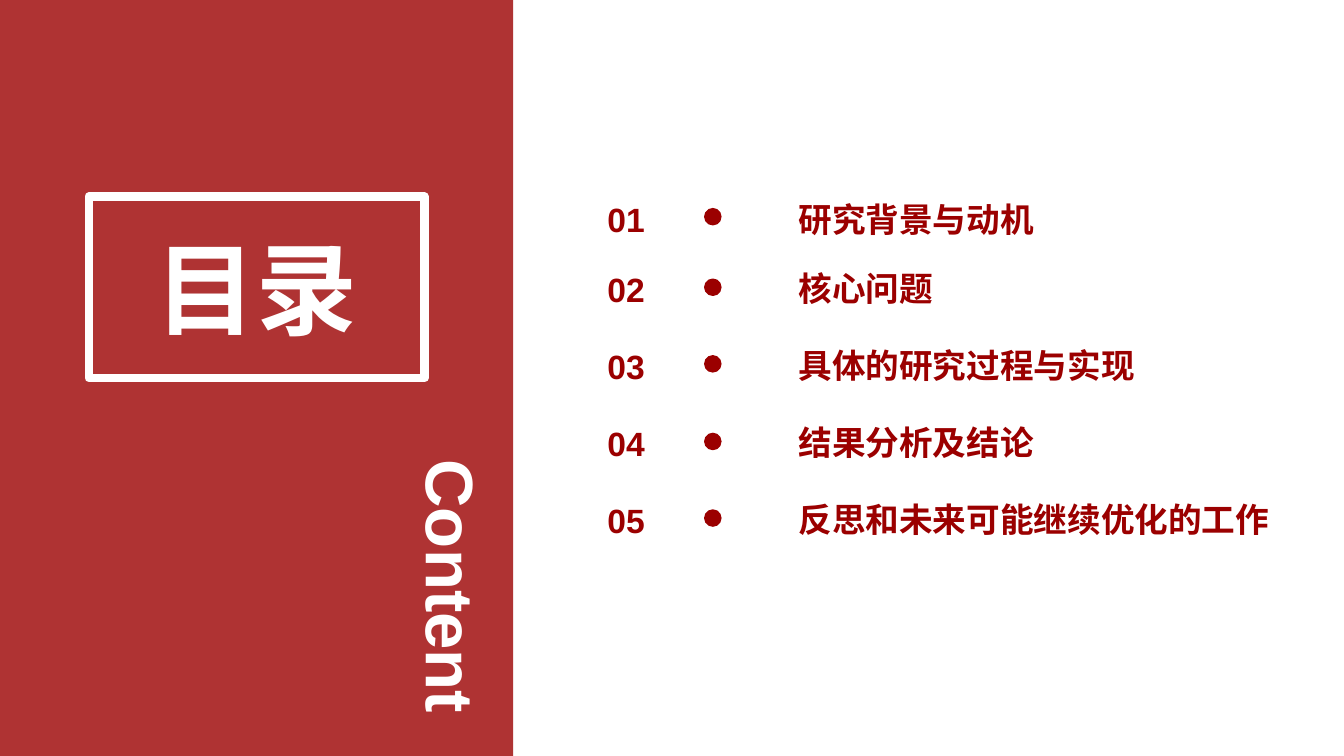
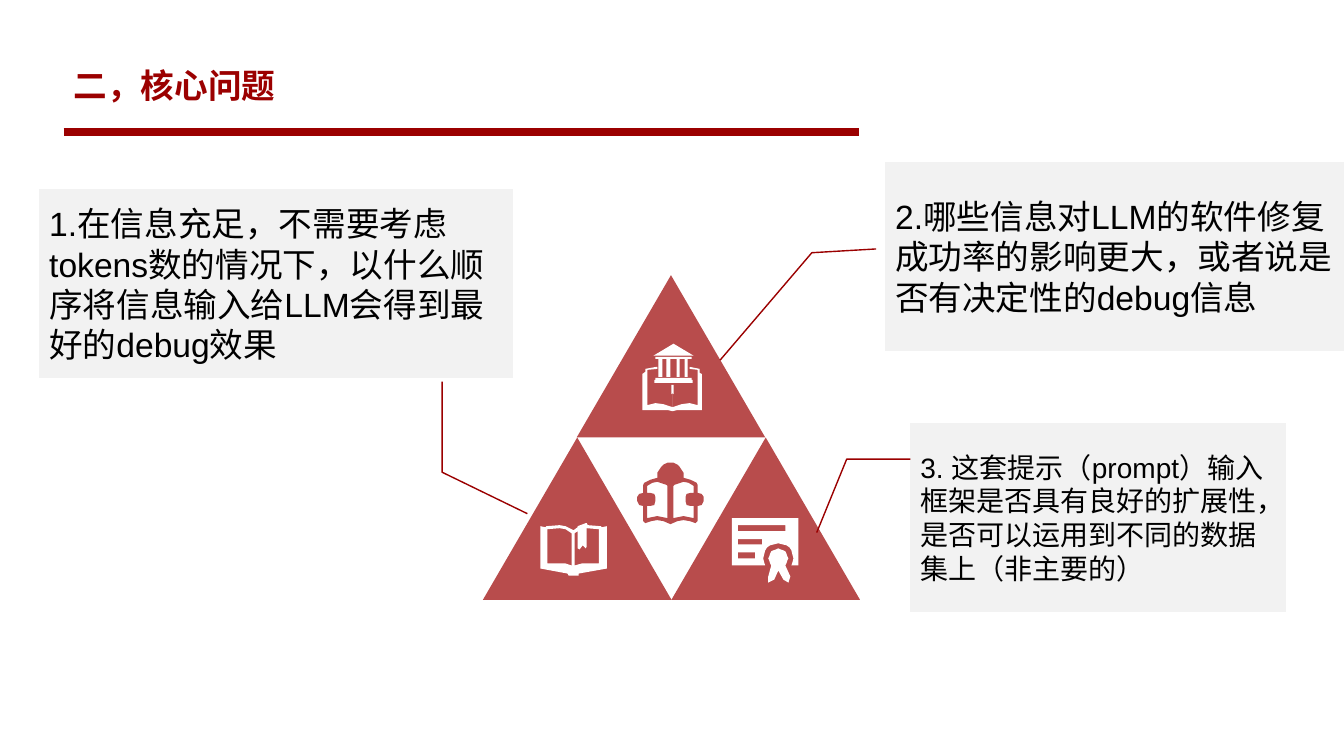
from dataclasses import dataclass
from itertools import pairwise
from math import cos, radians, sin

from lxml import etree
from pptx import Presentation
from pptx.dml.color import RGBColor
from pptx.enum.lang import MSO_LANGUAGE_ID
from pptx.enum.shapes import MSO_CONNECTOR, MSO_SHAPE
from pptx.enum.text import MSO_ANCHOR, MSO_AUTO_SIZE, PP_ALIGN
from pptx.oxml.ns import qn
from pptx.util import Pt

PX = 9144  # EMU per px, 100 px to the inch
RED, WHITE, BLACK, GREY = "9B0000", "FFFFFF", "000000", "F2F2F2"
FONT = "Arial"
LINE_PT = 29  # height of one 24 pt line
LEFT, MID = PP_ALIGN.LEFT, PP_ALIGN.CENTER
TOP, CENTRE = MSO_ANCHOR.TOP, MSO_ANCHOR.MIDDLE
FIXED = MSO_AUTO_SIZE.NONE
CHINESE = MSO_LANGUAGE_ID.SIMPLIFIED_CHINESE
RECT, OVAL = MSO_SHAPE.RECTANGLE, MSO_SHAPE.OVAL
TRI, CALL = MSO_SHAPE.ISOSCELES_TRIANGLE, MSO_SHAPE.LINE_CALLOUT_2_NO_BORDER
STRAIGHT = MSO_CONNECTOR.STRAIGHT
TITLE_BODY, TITLE_ONLY = 1, 5

Points = list[tuple[float, float]]


@dataclass
class Row:
    top: int
    text: str


@dataclass
class Note:
    box: tuple[int, int, int, int]
    adj: tuple[float, ...]
    size: int
    text: str


@dataclass
class Icon:
    paths: list[Points]
    fill: str
    alpha: int = 100


ROWS = [
    Row(192, "研究背景与动机"),
    Row(262, "核心问题"),
    Row(338, "具体的研究过程与实现"),
    Row(415, "结果分析及结论"),
    Row(491, "反思和未来可能继续优化的工作"),
]
NOTES = [
    Note((878, 161, 455, 187), (0.46, -0.02, 0.48, -0.16, 1.05, -0.36), 24,
         "2.哪些信息对LLM的软件修复成功率的影响更大，或者说是否有决定性的debug信息"),
    Note((903, 420, 372, 187), (0.19, 0, 0.19, -0.17, 0.58, -0.25), 20,
         "3. 这套提示（prompt）输入框架是否具有良好的扩展性，"
         "是否可以运用到不同的数据集上（非主要的）"),
    Note((39, 188, 470, 187), (1.02, 0.85, 1.5, 0.85, 1.72, 1.03), 24,
         "1.在信息充足，不需要考虑tokens数的情况下，"
         "以什么顺序将信息输入给LLM会得到最好的debug效果"),
]


def box(x: int, y: int, w: int, h: int) -> Points:
    return [(x, y), (x + w, y), (x + w, y + h), (x, y + h)]


def arc(x: float, y: float, r: float, start: int, end: int) -> Points:
    """Points on a circle, angles in degrees counted clockwise from the right."""
    step = 15 if end > start else -15
    return [(x + r * cos(radians(a)), y + r * sin(radians(a)))
            for a in range(start, end + step, step)]


def flip(points: Points, axis: int) -> Points:
    """Mirror points about a vertical axis."""
    return [(2 * axis - x, y) for x, y in reversed(points)]


def temple() -> list[Points]:
    book = [(651, 364), (652, 364), (652, 366), (642, 367), (642, 402), (650, 400),
            (658, 401), (667, 404), (667, 390), (666, 391), (666, 382), (668, 382),
            (668, 391), (667, 390), (667, 404), (676, 401), (684, 400), (692, 402),
            (692, 367), (684, 366), (684, 364), (694, 366), (694, 370), (696, 371),
            (696, 407), (671, 407), (667, 408), (663, 407), (637, 407), (637, 371),
            (640, 369), (640, 366)]
    base = [(650, 375), (686, 375), (686, 377), (687, 377), (687, 380), (649, 380),
            (649, 377), (650, 377)]
    posts = [box(x, 356, w, 18) for x, w in ((653, 4), (661, 4), (671, 3), (679, 3))]
    return [book, base, box(650, 354, 36, 2), *posts, [(668, 341), (688, 353), (648, 353)]]


def award() -> list[Points]:
    sheet = [(726, 514), (792, 514), (792, 561), (785, 561), *arc(772, 554, 15, 15, -195),
             (759, 561), (726, 561)]
    seal = [*arc(772, 554, 9.5, 45, -225), (762, 572), (762, 578), (768, 575), (772, 566),
            (777, 575), (782, 578), (784, 572), (779, 561)]
    return [sheet, seal, box(732, 548, 17, 6), box(732, 535, 24, 5), box(732, 521, 47, 6)]


def book() -> list[Points]:
    cover = [(602, 522), (597, 523), (596, 522), (583, 521), (582, 519), (581, 519),
             (573, 522), (573, 523), (569, 526), (561, 522), (555, 521), (542, 522),
             (541, 523), (536, 522), (536, 564), (563, 569), (564, 571), (574, 571),
             (574, 569), (602, 564)]
    right = [(573, 527), (573, 544), (575, 545), (578, 541), (581, 544), (582, 542),
             (582, 524), (594, 525), (594, 559), (577, 559), (570, 561), (570, 529)]
    left = [(561, 525), (567, 529), (567, 561), (561, 559), (543, 559), (543, 525), (555, 524)]
    return [cover, right, left]


def reader() -> list[Points]:
    half = [(652, 474), (645, 476), (639, 479), (638, 481), (638, 489), (634, 490),
            (632, 493), (632, 497), (634, 501), (638, 502), (638, 517), (640, 519),
            (646, 517), (652, 516), (658, 517), (665, 520)]
    page = [(652, 512), (642, 514), (642, 502), (645, 502), (649, 501), (650, 497),
            (650, 493), (649, 490), (645, 489), (642, 489), (642, 482), (647, 479),
            (652, 478), (661, 481), (662, 482), (662, 514)]
    return [[*arc(665, 472, 13, 0, -180), *half, *flip(half, 665)], page, flip(page, 665)]


ICONS = [Icon(temple(), WHITE), Icon(award(), WHITE), Icon(book(), WHITE),
         Icon(reader(), RED, 70)]


def rgb(code: str) -> RGBColor:
    return RGBColor.from_string(code)


def place(shape, *frame: int) -> None:
    for name, px in zip(("left", "top", "width", "height"), frame):
        setattr(shape, name, px * PX)


def paint(shape, fill: str, alpha: int = 100, line: str = "") -> None:
    """Set fill, opacity in percent, and a 1 pt line if a colour is given."""
    shape.shadow.inherit = False
    shape.fill.solid()
    shape.fill.fore_color.rgb = rgb(fill)
    if alpha < 100:
        tint = shape.element.spPr.find(".//" + qn("a:srgbClr"))
        etree.SubElement(tint, qn("a:alpha"), val=str(alpha * 1000))
    if line:
        shape.line.color.rgb = rgb(line)
        shape.line.width = Pt(1)
    else:
        shape.line.fill.background()


def form(slide, kind, frame: tuple, fill: str, alpha: int = 100, line: str = ""):
    shape = slide.shapes.add_shape(kind, *(px * PX for px in frame))
    paint(shape, fill, alpha, line)
    return shape


def write(shape, lines: list[str], size: int = 24, ink: str = RED, bold: bool = True,
          align=LEFT, anchor=TOP) -> None:
    frame = shape.text_frame
    for name, value in {"word_wrap": True, "auto_size": FIXED,
                        "vertical_anchor": anchor}.items():
        setattr(frame, name, value)
    look = {"name": FONT, "size": Pt(size), "bold": bold, "language_id": CHINESE}
    for i, text in enumerate(lines):
        para = frame.add_paragraph() if i else frame.paragraphs[0]
        para.alignment = align
        run = para.add_run()
        run.text = text
        for name, value in look.items():
            setattr(run.font, name, value)
        run.font.color.rgb = rgb(ink)


def label(slide, frame: tuple, text: str, **style):
    shape = slide.shapes.add_textbox(*(px * PX for px in frame))
    write(shape, [text], **style)
    return shape


def head(slide, frame: tuple, text: str, **style):
    place(slide.shapes.title, *frame)
    write(slide.shapes.title, [text], **style)
    return slide.shapes.title


def items(slide) -> None:
    """Fill the body placeholder, spaced so that each line meets its row."""
    body = slide.placeholders[1]
    place(body, 782, ROWS[0].top, 514, 390)
    write(body, [row.text for row in ROWS])
    gaps = [0] + [round((b.top - a.top) * 0.72) - LINE_PT for a, b in pairwise(ROWS)]
    for para, gap in zip(body.text_frame.paragraphs, gaps):
        props = para._p.get_or_add_pPr()
        props.set("marL", "0")
        props.set("indent", "0")
        etree.SubElement(props, qn("a:buNone"))
        para.space_before = Pt(gap)


def contents(deck) -> None:
    slide = deck.slides.add_slide(deck.slide_layouts[TITLE_BODY])
    panel = form(slide, RECT, (0, 0, 509, 750), RED, 80)
    panel.element.getparent().insert(2, panel.element)
    title = head(slide, (88, 195, 333, 180), "目录", size=72, ink=WHITE,
                 align=MID, anchor=CENTRE)
    title.line.color.rgb = rgb(WHITE)
    title.line.width = Pt(6)
    side = label(slide, (393, 446, 101, 278), "Content", size=48, ink=WHITE, align=MID)
    side.text_frame._txBody.bodyPr.set("vert", "eaVert")
    items(slide)
    for i, row in enumerate(ROWS, 1):
        label(slide, (572, row.top, 98, 50), f"{i:02}", align=MID)
        form(slide, OVAL, (699, row.top + 15, 16, 16), RED, line=RED)


def draw(slide, icon: Icon) -> None:
    first, *rest = icon.paths
    pen = slide.shapes.build_freeform(*first[0], scale=PX)
    pen.add_line_segments(first[1:])
    for path in rest:
        pen.move_to(*path[0])
        pen.add_line_segments(path[1:])
    paint(pen.convert_to_shape(), icon.fill, icon.alpha)


def issues(deck) -> None:
    slide = deck.slides.add_slide(deck.slide_layouts[TITLE_ONLY])
    rule = slide.shapes.add_connector(STRAIGHT, 63 * PX, 131 * PX, 852 * PX, 131 * PX)
    rule.line.color.rgb = rgb(RED)
    rule.line.width = Pt(6)
    etree.SubElement(rule.element.spPr, qn("a:effectLst"))
    head(slide, (63, 59, 493, 50), "二，核心问题")
    x, y, w, h = 479, 273, 187, 161
    for left, top in ((x + w // 2, y), (x, y + h), (x + w, y + h)):
        form(slide, TRI, (left, top, w, h), RED, 70)
    for icon in ICONS:
        draw(slide, icon)
    for note in NOTES:
        shape = form(slide, CALL, note.box, GREY, line=RED)
        for i, value in enumerate(note.adj):
            shape.adjustments[i] = value
        write(shape, [note.text], note.size, BLACK, bold=False, anchor=CENTRE)


def main() -> None:
    deck = Presentation()
    deck.slide_width, deck.slide_height = 1333 * PX, 750 * PX
    contents(deck)
    issues(deck)
    deck.save("out.pptx")


if __name__ == "__main__":
    main()
